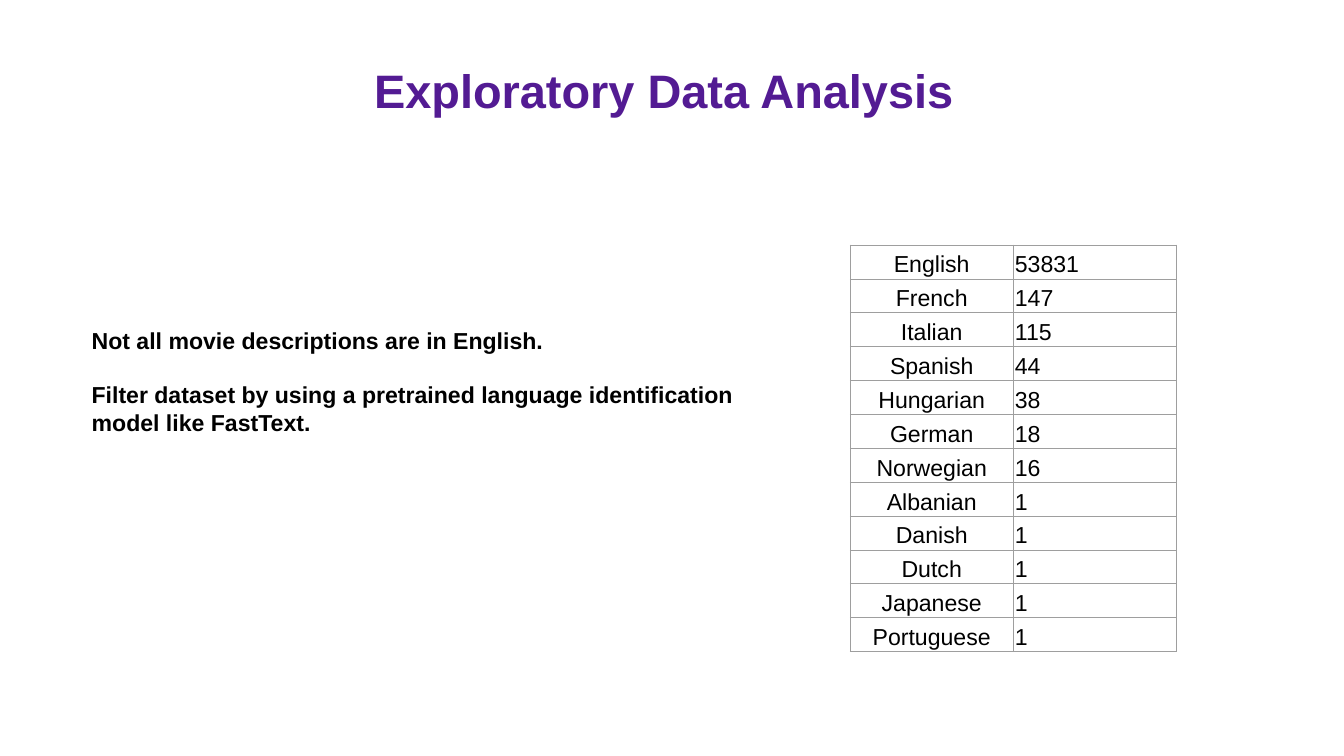
from lxml import etree
from pptx import Presentation
from pptx import util as u
from pptx.dml.color import RGBColor
from pptx.enum import text
from pptx.oxml.ns import qn

PURPLE = RGBColor(0x53, 0x1B, 0x93)
BLACK = RGBColor(0x00, 0x00, 0x00)
GRAY = RGBColor(0x9E, 0x9E, 0x9E)

LANGUAGES = [
    ("English", 53831), ("French", 147), ("Italian", 115), ("Spanish", 44),
    ("Hungarian", 38), ("German", 18), ("Norwegian", 16), ("Albanian", 1),
    ("Danish", 1), ("Dutch", 1), ("Japanese", 1), ("Portuguese", 1),
]
FINDINGS = [
    "Not all movie descriptions are in English.",
    "Filter dataset by using a pretrained language identification model like FastText.",
]

deck = Presentation()
deck.slide_width = u.Inches(26.67)
deck.slide_height = u.Inches(15)
page = deck.slides.add_slide(deck.slide_layouts[6])
COLUMN = deck.slide_width / 100
ROW = deck.slide_height / 100


def add_span(para, words, size, color=BLACK, bold=False):
    span = para.add_run()
    span.text = words
    span.font.name = "Arial"
    span.font.size = u.Pt(size)
    span.font.bold = bold
    span.font.color.rgb = color


def add_box(left, top, width, height, anchor, inset):
    box = page.shapes.add_textbox(
        int(left * COLUMN), int(top * ROW), int(width * COLUMN), int(height * ROW))
    frame = box.text_frame
    frame.word_wrap = True
    frame.vertical_anchor = anchor
    frame.margin_left = frame.margin_right = u.Inches(inset)
    frame.margin_top = frame.margin_bottom = u.Inches(inset)
    return frame


title = add_box(4.95, 7.27, 90.1, 10.47, text.MSO_ANCHOR.MIDDLE, 0.06)
title.margin_right = u.Inches(0.39)
para = title.paragraphs[0]
para.alignment = text.PP_ALIGN.CENTER
para.line_spacing = 0.8
add_span(para, "Exploratory Data Analysis", 67, PURPLE, True)

table = page.shapes.add_table(
    len(LANGUAGES), 2, int(63.25 * COLUMN), int(32.4 * ROW),
    int(24.3 * COLUMN), int(4.2 * ROW * len(LANGUAGES))).table
table.first_row = False
table.horz_banding = False

for row, language in enumerate(LANGUAGES):
    for column, value in enumerate(language):
        cell = table.cell(row, column)
        cell.fill.background()
        cell.vertical_anchor = text.MSO_ANCHOR.BOTTOM
        cell.margin_left = cell.margin_right = u.Inches(0.03)
        cell.margin_top = cell.margin_bottom = u.Inches(0.02)
        para = cell.text_frame.paragraphs[0]
        para.alignment = text.PP_ALIGN.LEFT if column else text.PP_ALIGN.CENTER
        para.line_spacing = 1.15
        add_span(para, str(value), 33)
        properties = cell._tc.get_or_add_tcPr()
        for position, side in enumerate(("lnL", "lnR", "lnT", "lnB")):
            border = etree.Element(qn("a:" + side), w=str(u.Pt(0.75)))
            fill = etree.SubElement(border, qn("a:solidFill"))
            etree.SubElement(fill, qn("a:srgbClr"), val=str(GRAY))
            properties.insert(position, border)

findings = add_box(6.45, 42.53, 53.96, 27.27, text.MSO_ANCHOR.TOP, 0.1)
for index, finding in enumerate(FINDINGS):
    para = findings.add_paragraph() if index else findings.paragraphs[0]
    para.space_before = u.Pt(38 if index else 0)
    add_span(para, finding, 33, bold=True)

deck.save("out.pptx")
